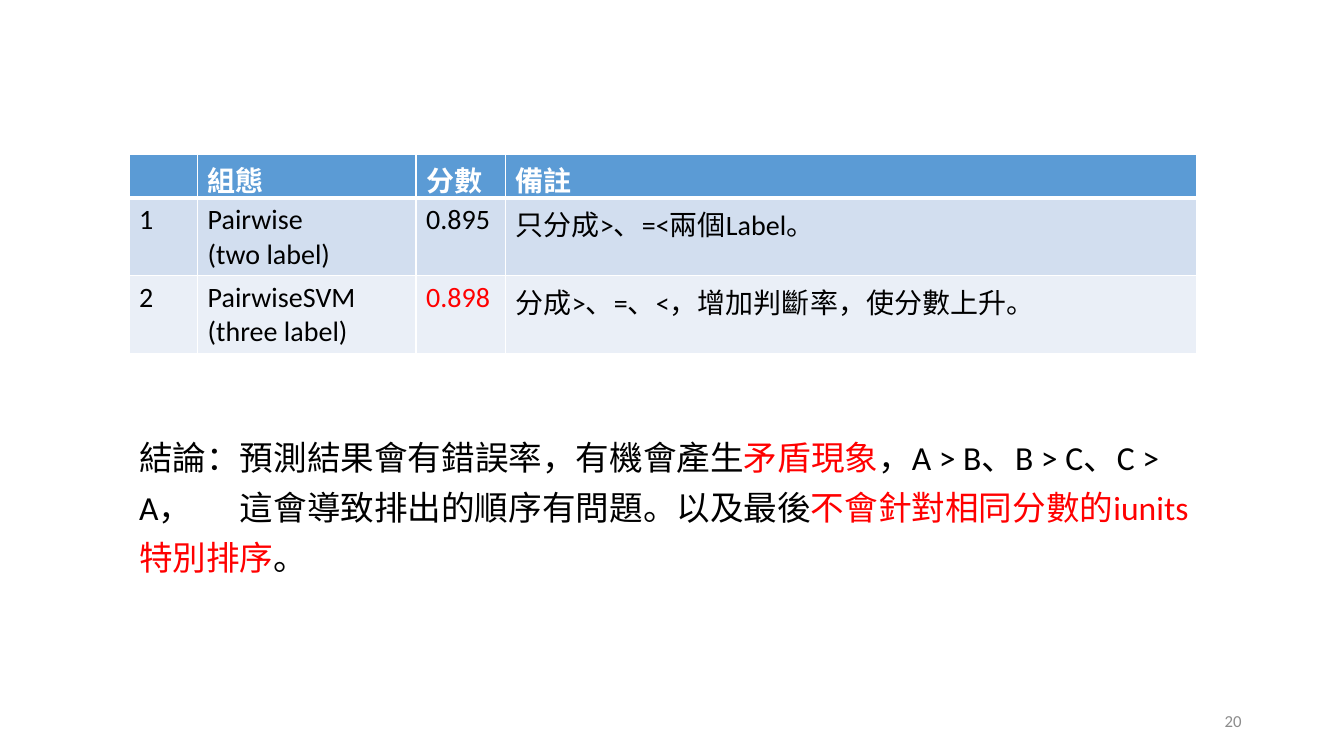
from lxml.etree import SubElement
from pptx import Presentation
from pptx.dml.color import RGBColor as Rgb
from pptx.enum.text import MSO_ANCHOR as Anchor, PP_ALIGN as Align
from pptx.oxml.ns import qn
from pptx.util import Pt

COLORS = {"white": "FFFFFF", "black": "000000", "red": "FF0000", "gray": "8C8C8C",
          "head": "5B9BD5", "odd": "D2DEEF", "even": "EAEFF7"}
FONT = "Calibri"
ROWS = [
    ("", "組態", "分數", "備註"),
    ("1", "Pairwise\n(two label)", "0.895", "只分成>、=<兩個Label。"),
    ("2", "PairwiseSVM\n(three label)", "0.898", "分成>、=、<，增加判斷率，使分數上升。"),
]
FILLS = ["head", "odd", "even"]
BEST = (2, 2)
WIDTHS = [49, 156, 64, 493.5]
HEIGHTS = [31, 55.4, 55.4]
SUMMARY = [
    ("結論：預測結果會有錯誤率，有機會產生", "black"),
    ("矛盾現象", "red"),
    ("，A > B、B > C、C > A，\t這會導致排出的順序有問題。以及最後", "black"),
    ("不會針對相同分數的iunits\t特別排序", "red"),
    ("。", "black"),
]
PAGE = "20"
LEFT = 92.2


def rgb(name):
    return Rgb.from_string(COLORS[name])


def style(font, size, color, bold=False):
    font.name, font.size, font.bold = FONT, Pt(size), bold
    font.color.rgb = rgb(color)


def border(cell, top, bottom):
    """Draw white cell edges; top and bottom are widths in points."""
    props = cell._tc.get_or_add_tcPr()
    sides = [("L", 1), ("R", 1), ("T", top), ("B", bottom)]
    for pos, (side, width) in enumerate(sides):
        line = SubElement(props, qn("a:ln" + side), w=str(Pt(width)))
        fill = SubElement(line, qn("a:solidFill"))
        SubElement(fill, qn("a:srgbClr"), val=COLORS["white"])
        props.insert(pos, line)


def add_scores(slide):
    frame = slide.shapes.add_table(len(ROWS), len(WIDTHS), Pt(LEFT), Pt(110.2),
                                   Pt(sum(WIDTHS)), Pt(sum(HEIGHTS)))
    table = frame.table
    for col, width in zip(table.columns, WIDTHS):
        col.width = Pt(width)
    for r, texts in enumerate(ROWS):
        table.rows[r].height = Pt(HEIGHTS[r])
        for c, text in enumerate(texts):
            cell = table.cell(r, c)
            cell.text = text
            cell.fill.solid()
            cell.fill.fore_color.rgb = rgb(FILLS[r])
            border(cell, 3 if r == 1 else 1, 3 if r == 0 else 1)
            if r and c == 1:
                cell.vertical_anchor = Anchor.MIDDLE
            color = "white" if r == 0 else "red" if (r, c) == BEST else "black"
            for para in cell.text_frame.paragraphs:
                style(para.font, 20, color, r == 0)


def add_box(slide, left, top, width, height):
    frame = slide.shapes.add_textbox(Pt(left), Pt(top), Pt(width), Pt(height)).text_frame
    frame.word_wrap = True
    return frame


def add_summary(slide):
    para = add_box(slide, LEFT, 301, 781.2, 116.6).paragraphs[0]
    para.line_spacing = Pt(36)
    for text, color in SUMMARY:
        run = para.add_run()
        run.text = text
        style(run.font, 24, color)


def add_page(slide):
    frame = add_box(slide, 678, 500.5, 216, 28.8)
    frame.vertical_anchor = Anchor.MIDDLE
    para = frame.paragraphs[0]
    para.text = PAGE
    para.alignment = Align.RIGHT
    style(para.font, 12, "gray")


def main():
    deck = Presentation()
    deck.slide_width, deck.slide_height = Pt(960), Pt(540)
    slide = deck.slides.add_slide(deck.slide_layouts[6])
    add_page(slide)
    add_summary(slide)
    add_scores(slide)
    deck.save("out.pptx")


if __name__ == "__main__":
    main()
